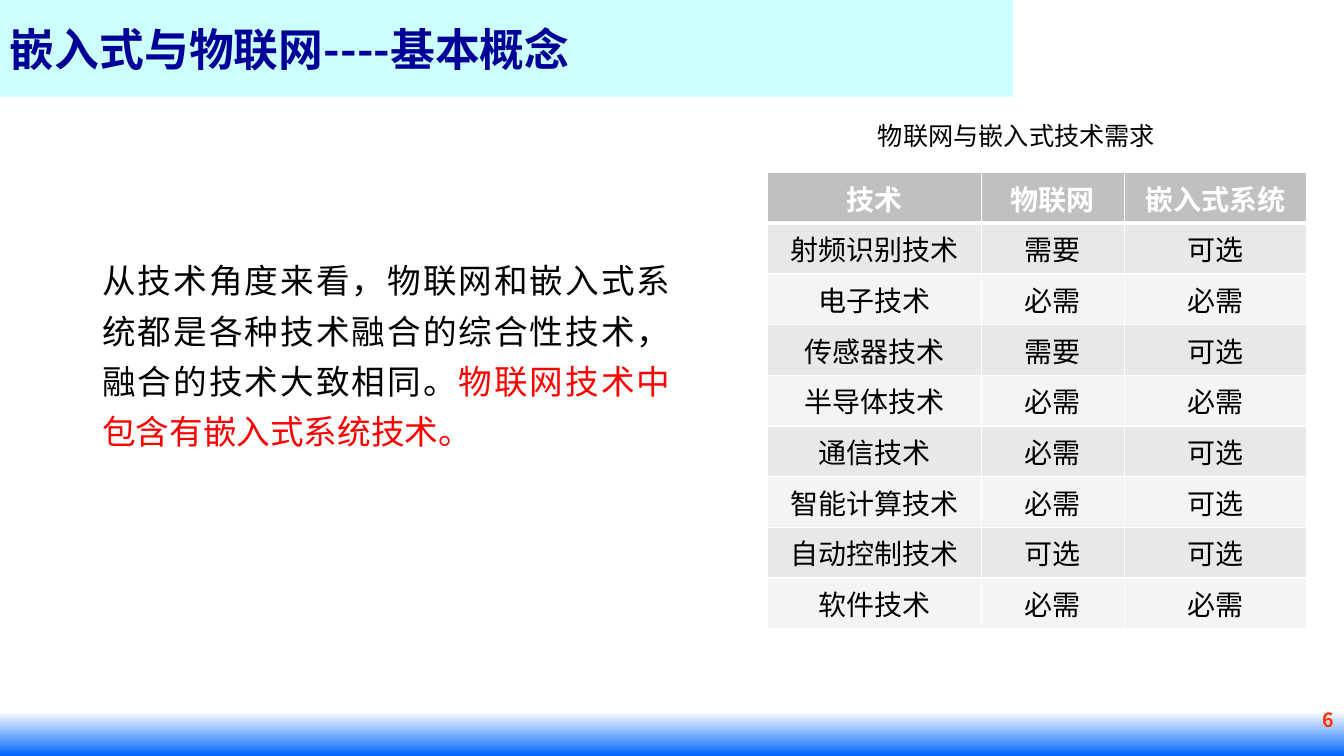
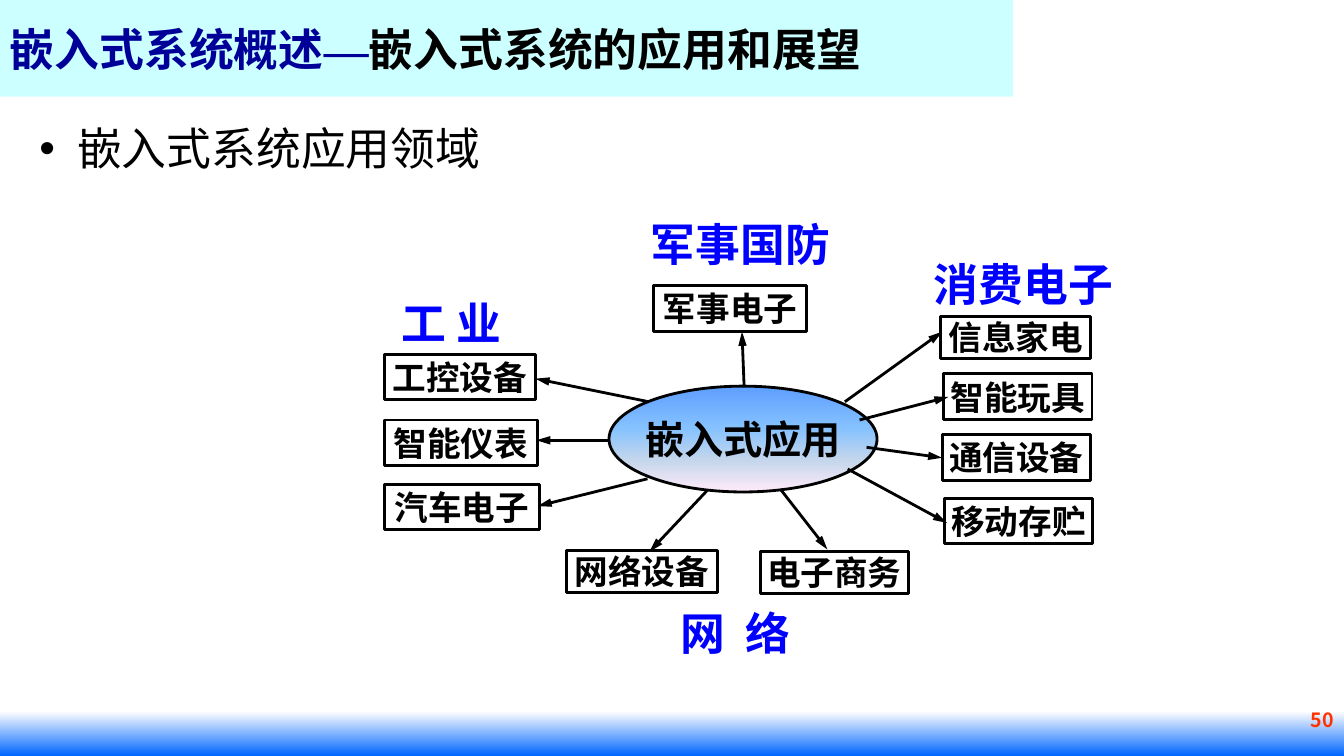
from lxml import etree
from pptx import Presentation
from pptx.dml.color import RGBColor
from pptx.enum import shapes, text
from pptx.oxml import ns, parse_xml
from pptx.util import Pt

SANS = "Noto Sans CJK SC"
NAVY, BLUE, RED, BLACK, WHITE = "000099", "0000FF", "FF0000", "000000", "FFFFFF"
LEFT, CENTER, RIGHT, JUSTIFY = (text.PP_ALIGN.LEFT, text.PP_ALIGN.CENTER,
                                text.PP_ALIGN.RIGHT, text.PP_ALIGN.JUSTIFY)
TOP, MIDDLE = text.MSO_ANCHOR.TOP, text.MSO_ANCHOR.MIDDLE
color = RGBColor.from_string


def write(frame, *parts, size=24, bold=False, ink=BLACK, font=SANS,
          align=LEFT, anchor=MIDDLE, wrap=True, spacing=None):
    """Fill a text frame with one paragraph; a part is text or (text, ink, font)."""
    frame.word_wrap = wrap
    frame.vertical_anchor = anchor
    paragraph = frame.paragraphs[0]
    paragraph.alignment = align
    paragraph.line_spacing = spacing
    for part in parts:
        words, part_ink, part_font = (part, ink, font) if isinstance(part, str) else part
        run = paragraph.add_run()
        run.text = words
        run.font.size, run.font.bold, run.font.name = Pt(size), bold, part_font
        run.font.color.rgb = color(part_ink)
        east_asian = etree.SubElement(run._r.rPr, ns.qn("a:ea"))
        east_asian.set("typeface", SANS if part_font == "Lato" else part_font)
    return paragraph


def shade(shape, stops):
    """Give a shape a top-to-bottom gradient of (percent, colour) stops."""
    shape.shadow.inherit = False
    shape.fill.gradient()
    shape.fill.gradient_angle = 270
    stop_list = shape._element.spPr.find(".//" + ns.qn("a:gsLst"))
    stop_list.clear()
    for percent, value in stops:
        stop = etree.SubElement(stop_list, ns.qn("a:gs"), pos=str(percent * 1000))
        etree.SubElement(stop, ns.qn("a:srgbClr"), val=value)


deck = Presentation()
deck.slide_width, deck.slide_height = Pt(960), Pt(540)

# Title band, footer band and page number of every slide
pages = [
    ("6", ["嵌入式与物联网----基本概念"]),
    ("50", ["嵌入式系统概述", ("—", NAVY, "Times New Roman"),
            ("嵌入式系统的应用和展望", BLACK, SANS)]),
]
for number, title in pages:
    slide = deck.slides.add_slide(deck.slide_layouts[6])
    footer = slide.shapes.add_shape(shapes.MSO_SHAPE.RECTANGLE, 0, Pt(508), Pt(960), Pt(32))
    shade(footer, [(0, WHITE), (100, "0066FF")])
    footer.line.fill.background()
    band = slide.shapes.add_shape(shapes.MSO_SHAPE.RECTANGLE, 0, 0, Pt(723.6), Pt(69))
    band.shadow.inherit = False
    band.fill.solid()
    band.fill.fore_color.rgb = color("CCFFFF")
    band.line.fill.background()
    write(band.text_frame, *title, size=32, bold=True, ink=NAVY)
    page_number = slide.shapes.add_textbox(Pt(676), Pt(502), Pt(284), Pt(36))
    write(page_number.text_frame, number, size=14, bold=True, ink="FF3300",
          align=RIGHT, anchor=TOP)
concept, applications = deck.slides

# Slide 1: technology needs
caption = concept.shapes.add_textbox(Pt(620), Pt(80.5), Pt(326), Pt(32))
write(caption.text_frame, "物联网与嵌入式技术需求", size=18)
summary = concept.shapes.add_textbox(Pt(66), Pt(175), Pt(420), Pt(180))
write(summary.text_frame,
      "从技术角度来看，物联网和嵌入式系统都是各种技术融合的综合性技术，融合的技术大致相同。",
      ("物联网技术中包含有嵌入式系统技术。", RED, SANS),
      align=JUSTIFY, anchor=TOP, spacing=1.25)

needs = [
    ("技术", "物联网", "嵌入式系统"),
    ("射频识别技术", "需要", "可选"),
    ("电子技术", "必需", "必需"),
    ("传感器技术", "需要", "可选"),
    ("半导体技术", "必需", "必需"),
    ("通信技术", "必需", "可选"),
    ("智能计算技术", "必需", "可选"),
    ("自动控制技术", "可选", "可选"),
    ("软件技术", "必需", "必需"),
]
table = concept.shapes.add_table(len(needs), 3, Pt(548), Pt(123.3), Pt(385), Pt(325.8)).table
for column, width in zip(table.columns, (153, 102, 130)):
    column.width = Pt(width)
for r, row in enumerate(needs):
    header = r == 0
    for c, words in enumerate(row):
        cell = table.cell(r, c)
        write(cell.text_frame, words, size=20, bold=header, font="Lato",
              ink=WHITE if header else BLACK, align=CENTER)
        cell.vertical_anchor = TOP
        borders = cell._tc.get_or_add_tcPr()
        for side in "LRTB":
            thick = (side == "B" and r == 0) or (side == "T" and r == 1)
            borders.append(parse_xml(
                f'<a:ln{side} {ns.nsdecls("a")} w="{Pt(3 if thick else 1)}"><a:solidFill>'
                f'<a:srgbClr val="{WHITE}"/></a:solidFill></a:ln{side}>'))
        cell.fill.solid()
        cell.fill.fore_color.rgb = color("C0C0C0" if header else ("F4F4F4", "E8E8E8")[r % 2])

# Slide 2: application fields
topic = applications.shapes.add_textbox(Pt(21), Pt(83), Pt(919), Pt(60))
bullet = write(topic.text_frame, "嵌入式系统应用领域", size=32, anchor=TOP)._p.get_or_add_pPr()
bullet.set("marL", str(Pt(27)))
bullet.set("indent", str(Pt(-27)))
etree.SubElement(bullet, ns.qn("a:buFont"), typeface="Arial")
etree.SubElement(bullet, ns.qn("a:buChar"), char="•")

hub = applications.shapes.add_shape(shapes.MSO_SHAPE.OVAL, Pt(435), Pt(275.8), Pt(191.5), Pt(75.6))
shade(hub, [(0, "5E9EFF"), (40, "85C2FF"), (70, "C4D6EB"), (100, "FFEBFA")])
hub.line.color.rgb = color(BLACK)
hub.line.width = Pt(2)
write(hub.text_frame, "嵌入式应用", size=28, bold=True, align=CENTER, wrap=False)

fields = [
    ("工 业", 279.5, 208, 97, LEFT),
    ("消费电子", 660, 180, 158, LEFT),
    ("军事国防", 444, 151, 170, CENTER),
    ("网  络", 479, 429, 114, LEFT),
]
for words, x, y, width, align in fields:
    label = applications.shapes.add_textbox(Pt(x), Pt(y), Pt(width), Pt(45.5))
    write(label.text_frame, words, size=32, bold=True, ink=BLUE, align=align)

# Product box (left, top, width, height), then its arrow (from x, y, to x, y)
products = [
    ("信息家电", (672, 226, 107, 30), (603.5, 287, 673, 237)),
    ("智能玩具", (674, 267, 106, 32.5), (614, 300, 677.5, 283.5)),
    ("通信设备", (673, 310.5, 106, 32.5), (619, 319.5, 673, 327)),
    ("移动存贮", (674.5, 356, 106, 32.5), (605.5, 335, 676.5, 373.5)),
    ("军事电子", (467, 204, 109, 32.5), (531.5, 275.5, 530, 237)),
    ("工控设备", (274.5, 253, 108, 32.5), (463.5, 287, 382.5, 270.5)),
    ("智能仪表", (274.5, 300, 109.5, 32.5), (435.5, 314.5, 383, 314.5)),
    ("汽车电子", (274.5, 346, 111, 32.5), (462.5, 342, 384, 361.5)),
    ("网络设备", (404.5, 393, 108, 30), (505, 350.5, 464, 394)),
    ("电子商务", (543, 394, 106, 30), (557.5, 349.5, 591, 392.5)),
]
for words, place, ends in products:
    product = applications.shapes.add_shape(shapes.MSO_SHAPE.RECTANGLE, *map(Pt, place))
    product.shadow.inherit = False
    product.fill.background()
    write(product.text_frame, words, bold=True, align=CENTER, wrap=False)
    arrow = applications.shapes.add_connector(shapes.MSO_CONNECTOR.STRAIGHT, *map(Pt, ends))
    for outline in (product.line, arrow.line):
        outline.color.rgb = color(BLACK)
        outline.width = Pt(2)
    etree.SubElement(arrow.line._ln, ns.qn("a:tailEnd"), type="triangle", w="med", len="lg")
    etree.SubElement(arrow._element.spPr, ns.qn("a:effectLst"))

deck.save("out.pptx")
